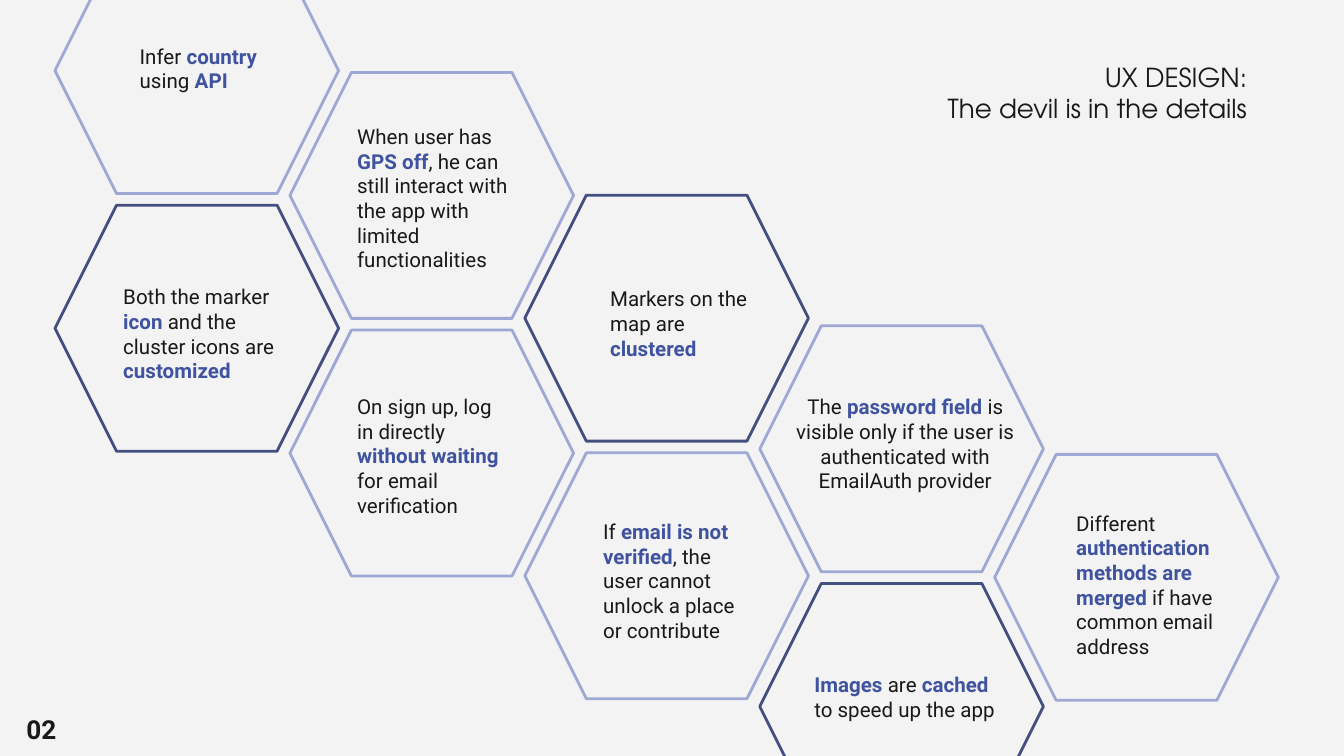
from dataclasses import dataclass

from pptx import Presentation
from pptx.dml.color import RGBColor
from pptx.enum.shapes import MSO_SHAPE as Shape
from pptx.enum.text import MSO_ANCHOR as Anchor, MSO_AUTO_SIZE as AutoSize, PP_ALIGN as Align
from pptx.util import Cm, Pt

BACKGROUND = RGBColor(0xF3, 0xF3, 0xF3)
INK = RGBColor(0x19, 0x19, 0x19)
ACCENT = RGBColor(0x3F, 0x53, 0xA0)
LIGHT = RGBColor(0x9F, 0xA8, 0xD4)
DARK = RGBColor(0x43, 0x4F, 0x80)

HEADING_FONT = "TeX Gyre Adventor"
BODY_FONT = "Roboto"

# Honeycomb, in cm
HEXAGON_WIDTH, HEXAGON_HEIGHT = 5.36, 4.65
FIRST_LEFT, COLUMN_STEP, ROW_STEP = 1.04, 4.44, 4.87
# Top of each column and the line colours of its cells, downwards
COLUMNS = [
    (-0.99, [LIGHT, DARK]),
    (1.37, [LIGHT, LIGHT]),
    (3.69, [DARK, LIGHT]),
    (6.16, [LIGHT, DARK]),
    (8.59, [LIGHT]),
]

# Left, top, width, height in cm; ** marks the emphasised words
NOTES = [
    ((2.39, 0.69, 2.87, 1.32), "Infer **country **using **API**"),
    ((2.08, 4.9, 3.43, 2.59),
     "Both the marker **icon **and the cluster icons are **customized**"),
    ((6.5, 2.29, 3.76, 3.1),
     "When user has **GPS off**, he can still interact with the app "
     "with limited functionalities"),
    ((6.5, 6.93, 3.43, 3.1),
     "On sign up, log in directly **without waiting** for email verification"),
    ((11.28, 4.88, 3.43, 2.18), "Markers on the map are **clustered**"),
    ((11.15, 8.81, 3.18, 3.58),
     "If **email is not verified**, the user cannot unlock a place or contribute"),
    ((15.14, 12.37, 4.22, 1.52), "**Images **are **cached **to speed up the app"),
    ((20.09, 9.6, 3.18, 3.1),
     "Different **authentication methods are merged** if have common email address"),
]
CENTRED_NOTE = (
    (14.76, 7.39, 4.7, 2.18),
    "The **password field** is visible only if the user is authenticated "
    "with EmailAuth provider",
)


def write(shape, text, font=BODY_FONT, size=11, align=Align.LEFT, anchor=Anchor.BOTTOM):
    """Fill a shape with one paragraph a line; text between ** is bold and accented."""
    frame = shape.text_frame
    frame.word_wrap = True
    frame.auto_size = AutoSize.NONE
    frame.vertical_anchor = anchor
    frame.margin_left = frame.margin_right = Cm(0.25)
    frame.margin_top = frame.margin_bottom = Cm(0.25)
    for index, line in enumerate(text.split("\n")):
        paragraph = frame.add_paragraph() if index else frame.paragraphs[0]
        paragraph.alignment = align
        for position, part in enumerate(line.split("**")):
            if not part:
                continue
            emphasised = position % 2 == 1
            run = paragraph.add_run()
            run.text = part
            run.font.name = font
            run.font.size = Pt(size)
            run.font.bold = emphasised
            run.font.color.rgb = ACCENT if emphasised else INK


@dataclass
class SlideBuilder:
    slide: object
    line_width: float = 1.5

    def background(self, color):
        fill = self.slide.background.fill
        fill.solid()
        fill.fore_color.rgb = color

    def title(self, box, text, **text_format):
        shape = self.slide.shapes.title
        shape.left, shape.top, shape.width, shape.height = map(Cm, box)
        write(shape, text, **text_format)

    def note(self, box, text, **text_format):
        shape = self.slide.shapes.add_textbox(*map(Cm, box))
        write(shape, text, **text_format)
        return shape

    def hexagon(self, left, top, color):
        shape = self.slide.shapes.add_shape(
            Shape.HEXAGON, Cm(left), Cm(top), Cm(HEXAGON_WIDTH), Cm(HEXAGON_HEIGHT))
        shape.adjustments[0] = 0.25
        shape.shadow.inherit = False
        shape.fill.background()
        shape.line.color.rgb = color
        shape.line.width = Pt(self.line_width)


def main():
    presentation = Presentation()
    presentation.slide_width, presentation.slide_height = Cm(25.4), Cm(14.29)
    title_only = presentation.slide_layouts[5]
    builder = SlideBuilder(presentation.slides.add_slide(title_only))

    builder.background(BACKGROUND)
    builder.title((15.54, 0.91, 8.28, 1.91), "UX DESIGN:\nThe devil is in the details",
                  font=HEADING_FONT, size=14, align=Align.RIGHT, anchor=Anchor.TOP)
    for column, (top, colors) in enumerate(COLUMNS):
        for row, color in enumerate(colors):
            builder.hexagon(FIRST_LEFT + column * COLUMN_STEP, top + row * ROW_STEP, color)
    for box, text in NOTES:
        builder.note(box, text)
    builder.note(*CENTRED_NOTE, align=Align.CENTER)

    number = builder.note((0.25, 13.23, 1.22, 0.84), "02", size=14, anchor=Anchor.TOP)
    number.text_frame.paragraphs[0].runs[0].font.bold = True

    presentation.save("out.pptx")


if __name__ == "__main__":
    main()
